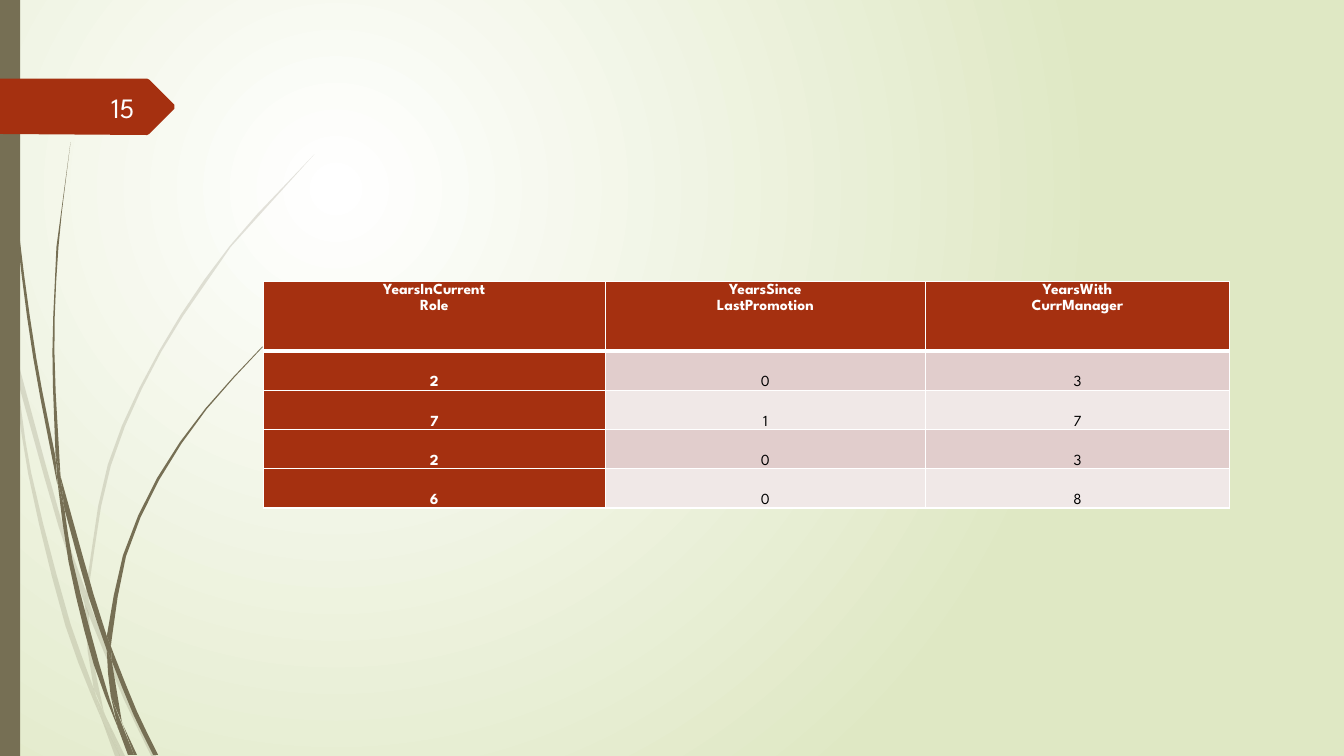
from pptx import Presentation
from pptx.dml.color import RGBColor as Rgb
from pptx.enum.shapes import MSO_SHAPE as Kind
from pptx.enum.text import MSO_ANCHOR as Anchor, PP_ALIGN as Align
from pptx.oxml import parse_xml
from pptx.oxml.ns import nsdecls, qn
from pptx.util import Cm, Pt

FONT = "League Spartan"
RUST, OLIVE, WHITE, BLACK = "A53010", "766F54", "FFFFFF", "000000"
BANDS = "E1CDCC", "F0E8E7"

# Grass outlines in 1/100 inch; a bar parts the two curved sides
PALE = [
    "11,350 9,322 0,282 | 0,299 10,344 11,348",
    "14,345 62,520 85,586 | 84,599 58,522 17,376",
    "88,596 92,607 127,692 155,750 | 150,750 123,694 88,610",
    "105,711 119,750 | 124,750",
    "11,350 28,470 65,621 92,693 101,714 | 99,707 93,683 70,619 31,469 17,376",
    "84,599 87,646 93,683 105,711 | 103,706 91,646 88,608",
    "85,586 107,461 158,348 228,244 312,153 | 229,245 160,349 110,462 88,584 88,596",
    "101,714 114,750 | 119,750",
    "85,586 88,596 88,610 | 84,599",
    "93,683 101,714 119,750 | 105,711 96,692",
]
DARK = [
    "3,0 7,110 17,233 33,355 57,481 | 55,453 36,355 19,232 8,109 4,0",
    "60,472 93,590 106,631 | 106,645 88,592 64,505",
    "110,641 113,649 136,706 157,749 | 152,749 132,708 111,656",
    "57,477 68,557 93,659 117,722 | 116,717 98,657 72,556 64,505",
    "60,472 54,349 58,245 70,141 | 56,245 52,349 55,449",
    "122,719 133,749 | 136,749",
    "55,449 60,472 64,505 | 57,477",
    "106,631 122,551 156,474 204,405 260,344 | "
    "261,344 205,406 158,476 125,552 111,633 110,641",
    "117,722 127,749 | 131,749",
    "106,645 110,691 122,719 | 121,716 111,656",
    "106,631 110,641 111,656 | 106,645",
    "110,691 117,722 130,749 | 133,749 116,706",
]
TAG = "0,78 | 146,78 | 148,79 | 173,104 | 173,108 | 148,133 | 146,134 | 0,133"

ROWS = [
    ["YearsInCurrent\nRole", "YearsSince\nLastPromotion", "YearsWith\nCurrManager"],
    ["2", "0", "3"],
    ["7", "1", "7"],
    ["2", "0", "3"],
    ["6", "0", "8"],
]


def paint(fill, tone):
    fill.solid()
    fill.fore_color.rgb = Rgb.from_string(tone)


def plain(shape, tone):
    paint(shape.fill, tone)
    shape.line.fill.background()
    shape.shadow.inherit = False


def style(par, size, tone, align, bold=False):
    par.alignment = align
    for run in par.runs:
        font = run.font
        font.name, font.size, font.bold = FONT, Pt(size), bold
        font.color.rgb = Rgb.from_string(tone)


def smooth(pts):
    """Run a soft curve through complex points, finer on long spans."""
    last = len(pts) - 1
    dirs = []
    for i in range(len(pts)):
        way = pts[min(i + 1, last)] - pts[max(i - 1, 0)]
        dirs.append(way / (abs(way) or 1))
    out = pts[:1]
    for i in range(last):
        a, b = pts[i], pts[i + 1]
        reach = abs(b - a) / 3
        c, d = a + dirs[i] * reach, b - dirs[i + 1] * reach
        steps = min(3, 1 + int(reach / 15))
        for n in range(1, steps + 1):
            t = n / steps
            u = 1 - t
            out.append(u**3 * a + 3 * u * u * t * c + 3 * u * t * t * d + t**3 * b)
    return out


def add_free(shapes, outline, tone, alpha=None):
    pts = []
    for side in outline.split("|"):
        pairs = [pair.split(",") for pair in side.split()]
        pts += smooth([complex(int(x), int(y)) for x, y in pairs])
    spots = [(Cm(p.real * 0.0254), Cm(p.imag * 0.0254)) for p in pts]
    pen = shapes.build_freeform(*spots[0])
    pen.add_line_segments(spots[1:])
    shape = pen.convert_to_shape()
    plain(shape, tone)
    if alpha:
        clr = shape.fill._xPr.find(".//" + qn("a:srgbClr"))
        clr.append(parse_xml(f'<a:alpha {nsdecls("a")} val="{alpha * 1000}"/>'))


def add_grass(slide, blades, alpha=None):
    group = slide.shapes.add_group_shape()
    for blade in blades:
        add_free(group.shapes, blade, OLIVE, alpha)


def set_back(slide):
    fill = slide.background.fill
    fill.gradient()
    for stop, tone in zip(fill.gradient_stops, (WHITE, "DFE8C4")):
        stop.color.rgb = Rgb.from_string(tone)
    grad = slide.element.find(".//" + qn("a:gradFill"))
    glow = parse_xml(f'<a:path {nsdecls("a")} path="circle"><a:fillToRect '
                     'l="50000" t="50000" r="100000" b="100000"/></a:path>')
    grad.replace(grad.find(qn("a:lin")), glow)


def add_edges(cell, top, base):
    props = cell._tc.get_or_add_tcPr()
    for side, width in zip("LRTB", (1, 1, top, base)):
        props.append(parse_xml(
            f'<a:ln{side} {nsdecls("a")} w="{Pt(width)}"><a:solidFill>'
            f'<a:srgbClr val="{WHITE}"/></a:solidFill></a:ln{side}>'))


def fill_cell(cell, text, row, col):
    head = row == 0
    key = head or col == 0
    add_edges(cell, 3 if row == 1 else 1, 3 if head else 1)
    paint(cell.fill, RUST if key else BANDS[(row - 1) % 2])
    cell.margin_left = cell.margin_right = Cm(0.19)
    cell.margin_top = cell.margin_bottom = 0
    cell.vertical_anchor = Anchor.TOP if head else Anchor.BOTTOM
    cell.text_frame.text = text
    for par in cell.text_frame.paragraphs:
        par.line_spacing = 1.15
        style(par, 11, WHITE if key else BLACK, Align.CENTER, key)


def add_grid(slide):
    wides, highs = [8.61, 8.08, 7.65], [1.75] + [0.99] * 4
    grid = slide.shapes.add_table(len(highs), len(wides), Cm(6.64), Cm(7.09),
                                  Cm(sum(wides)), Cm(sum(highs))).table
    for col, wide in zip(grid.columns, wides):
        col.width = Cm(wide)
    for r, high in enumerate(highs):
        grid.rows[r].height = Cm(high)
        for c, text in enumerate(ROWS[r]):
            fill_cell(grid.cell(r, c), text, r, c)


def add_page(slide, text):
    box = slide.shapes.add_textbox(Cm(1.48), Cm(2.19), Cm(2.16), Cm(1.01))
    frame = box.text_frame
    frame.word_wrap = True
    frame.vertical_anchor = Anchor.MIDDLE
    frame.text = text
    style(frame.paragraphs[0], 20, "FEFFFF", Align.RIGHT)


def main():
    deck = Presentation()
    deck.slide_width, deck.slide_height = Cm(33.87), Cm(19.05)
    slide = deck.slides.add_slide(deck.slide_layouts[6])

    # Backdrop: glow, grass, side bar and page tag
    set_back(slide)
    add_grass(slide, PALE, 20)
    add_grass(slide, DARK)
    bar = slide.shapes.add_shape(Kind.RECTANGLE, 0, 0, Cm(0.51), Cm(19.05))
    plain(bar, OLIVE)
    add_free(slide.shapes, TAG, RUST)

    # Content: years table and page number
    add_grid(slide)
    add_page(slide, "15")
    deck.save("out.pptx")


main()
